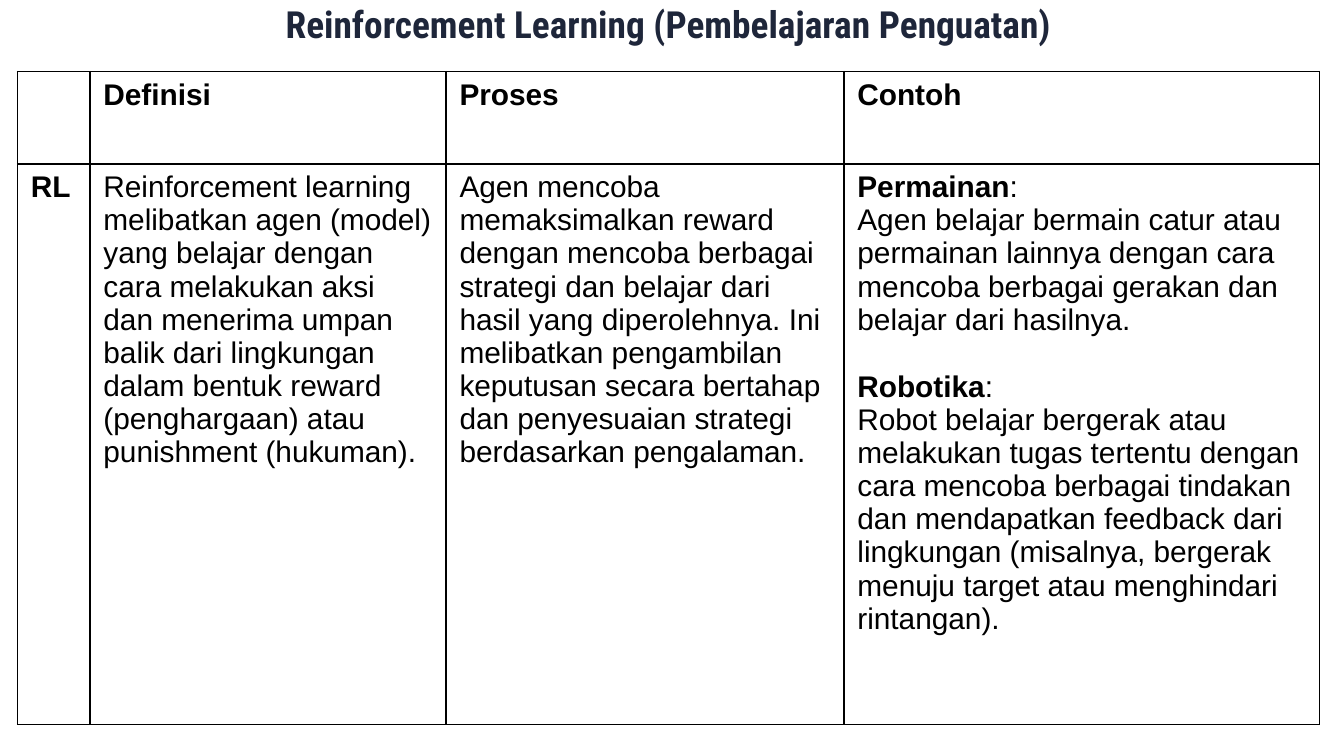
from lxml import etree
from pptx import Presentation
from pptx.dml.color import RGBColor
from pptx.enum.shapes import MSO_SHAPE
from pptx.enum.text import MSO_ANCHOR, PP_ALIGN
from pptx.oxml.ns import qn
from pptx.util import Cm, Pt

RECTANGLE = MSO_SHAPE.RECTANGLE
CENTER = PP_ALIGN.CENTER
TOP = MSO_ANCHOR.TOP

COLORS = {"panel": "FFFFFF", "title": "1E263A", "text": "000000", "border": "000000"}
COLUMN_WIDTHS = [1.37, 6.73, 7.52, 8.99]
ROW_HEIGHTS = [1.75, 10.59]

HEADERS = ["", "Definisi", "Proses", "Contoh"]
DEFINITION = (
    "Reinforcement learning melibatkan agen (model) yang belajar dengan cara "
    "melakukan aksi dan menerima umpan balik dari lingkungan dalam bentuk reward "
    "(penghargaan) atau punishment (hukuman)."
)
PROCESS = (
    "Agen mencoba memaksimalkan reward dengan mencoba berbagai strategi dan belajar "
    "dari hasil yang diperolehnya. Ini melibatkan pengambilan keputusan secara "
    "bertahap dan penyesuaian strategi berdasarkan pengalaman."
)
EXAMPLES = [
    ("Permainan", "Agen belajar bermain catur atau permainan lainnya dengan cara "
     "mencoba berbagai gerakan dan belajar dari hasilnya."),
    ("Robotika", "Robot belajar bergerak atau melakukan tugas tertentu dengan cara "
     "mencoba berbagai tindakan dan mendapatkan feedback dari lingkungan (misalnya, "
     "bergerak menuju target atau menghindari rintangan)."),
]


def format_font(font, name, size, color, bold):
    font.name = name
    font.size = Pt(size)
    font.bold = bold
    font.color.rgb = RGBColor.from_string(COLORS[color])


def add_borders(cell):
    properties = cell._tc.get_or_add_tcPr()
    for index, side in enumerate(("lnL", "lnR", "lnT", "lnB")):
        line = etree.Element(qn(f"a:{side}"), w=str(Pt(0.75)))
        fill = etree.SubElement(line, qn("a:solidFill"))
        etree.SubElement(fill, qn("a:srgbClr"), val=COLORS["border"])
        properties.insert(index, line)


presentation = Presentation()
presentation.slide_width = Cm(25.4)
presentation.slide_height = Cm(14.29)
slide = presentation.slides.add_slide(presentation.slide_layouts[6])

panel = slide.shapes.add_shape(
    RECTANGLE, 0, 0, presentation.slide_width, presentation.slide_height
)
panel.shadow.inherit = False
panel.fill.solid()
panel.fill.fore_color.rgb = RGBColor.from_string(COLORS["panel"])
panel.line.color.rgb = RGBColor.from_string(COLORS["panel"])
panel.line.width = Pt(2)

title = slide.shapes.add_textbox(Cm(0.33), Cm(0.03), Cm(24.61), Cm(13.64))
title_frame = title.text_frame
title_frame.word_wrap = True
title_frame.margin_left = title_frame.margin_right = 0
title_frame.margin_top = title_frame.margin_bottom = 0
title_frame.text = "Reinforcement Learning (Pembelajaran Penguatan)"
paragraph = title_frame.paragraphs[0]
paragraph.alignment = CENTER
paragraph.space_after = Pt(8)
format_font(paragraph.runs[0].font, "Roboto Condensed", 20, "title", True)

table_shape = slide.shapes.add_table(
    len(ROW_HEIGHTS), len(COLUMN_WIDTHS), Cm(0.33), Cm(1.35),
    Cm(sum(COLUMN_WIDTHS)), Cm(sum(ROW_HEIGHTS)),
)
table = table_shape.table
table.first_row = False
table.horz_banding = False
for column, width in zip(table.columns, COLUMN_WIDTHS):
    column.width = Cm(width)
for row, height in zip(table.rows, ROW_HEIGHTS):
    row.height = Cm(height)

for column_index, header in enumerate(HEADERS):
    table.cell(0, column_index).text_frame.text = header
for column_index, text in enumerate(["RL", DEFINITION, PROCESS]):
    table.cell(1, column_index).text_frame.text = text

examples_frame = table.cell(1, 3).text_frame
examples_frame.text = "\n".join(f"{name}:\n{text}" for name, text in EXAMPLES)
for paragraph, (name, text) in zip(examples_frame.paragraphs[::2], EXAMPLES):
    paragraph.runs[0].text = name
    paragraph.add_run().text = ":"
examples_frame.paragraphs[2].space_before = Pt(18)

bold_texts = {*HEADERS, "RL", *(name for name, text in EXAMPLES)}
for cell in table.iter_cells():
    cell.vertical_anchor = TOP
    cell.fill.background()
    add_borders(cell)
    for paragraph in cell.text_frame.paragraphs:
        for run in paragraph.runs:
            format_font(run.font, "Arial", 16, "text", run.text in bold_texts)

presentation.save("out.pptx")
